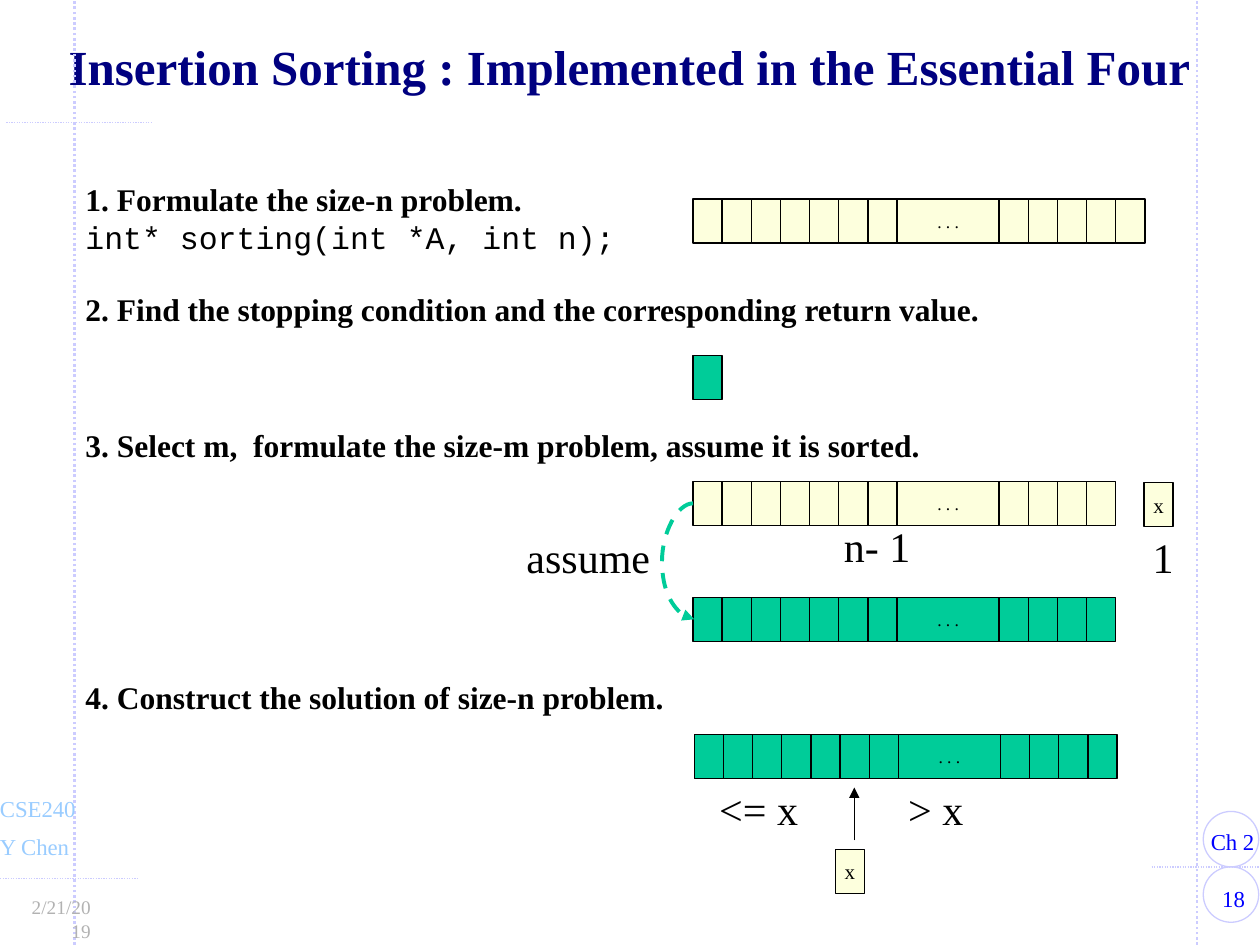
import pptx
import pptx.util
import pptx.dml.color
import pptx.enum.dml
import pptx.enum.shapes
import pptx.enum.text
import pptx.oxml
import pptx.oxml.ns
from pptx.util import Inches, Pt

SERIF, MONO = "Times New Roman", "Courier New"
CREAM, GREEN, BLACK = "FDFFDD", "00CC99", "000000"
LILAC, SKY, BLUE, NAVY, GREY = "CCCCFF", "99CCFF", "0000FF", "000080", "B2B2B2"
ALIGN = pptx.enum.text.PP_ALIGN
SHAPE = pptx.enum.shapes.MSO_SHAPE
CONNECTOR = pptx.enum.shapes.MSO_CONNECTOR
DASH = pptx.enum.dml.MSO_LINE

# Content
TITLE = "Insertion Sorting : Implemented in the Essential Four"
STEPS = [  # top, heading, code
    (1.38, "1. Formulate the size-n problem.", "int* sorting(int *A, int n);"),
    (2.25, "2. Find the stopping condition and the corresponding return value.", None),
    (3.33, "3. Select m,  formulate the size-m problem, assume it is sorted.", None),
    (5.33, "4. Construct the solution of size-n problem.", None),
]
ARRAYS = {  # left, top, fill, cells after the ellipsis
    "whole": (5.5, 1.58, CREAM, 5),
    "unsorted": (5.5, 3.82, CREAM, 4),
    "sorted": (5.5, 4.74, GREEN, 4),
    "result": (5.51, 5.83, GREEN, 4),
}
SINGLES = [  # left, top, fill, text
    (5.5, 2.82, GREEN, ""),
    (9.08, 3.83, CREAM, "x"),
    (6.63, 6.74, CREAM, "x"),
]
LABELS = [  # left, top, width, text
    (6.6, 4.08, 0.73, "n- 1"), (9.05, 4.17, 0.37, "1"), (4.08, 4.17, 1.18, "assume"),
    (5.61, 6.17, 0.83, "<= x"), (7.11, 6.17, 0.64, "> x"),
]
RULES = [  # x1, y1, x2, y2, width
    (0.59, 7.5, 0.59, 0, 1.5), (9.5, 7.5, 9.5, 0, 1.5),
    (-0.06, 6.97, 1.09, 6.97, 0.75), (9.14, 6.88, 10.05, 6.88, 0.75),
    (0.05, 0.97, 1.2, 0.97, 0.75),
]
FOOTERS = [  # left, top, width, height, text, size, colour, alignment, wrap
    (9.5, 6.97, 0.58, 0.32, "18", 13, BLUE, ALIGN.CENTER, True),
    (9.5, 6.52, 0.7, 0.32, "Ch 2", 13, BLUE, ALIGN.LEFT, True),
    (-0.11, 6.56, 1, 0.32, "Y Chen", 13, SKY, ALIGN.LEFT, True),
    (-0.11, 6.26, 1, 0.32, "CSE240", 13, SKY, ALIGN.LEFT, True),
    (0.08, 7.06, 0.75, 0.29, "2/21/2019", 11, GREY, ALIGN.RIGHT, True),
]
CELLS_BEFORE, GAP_W, CELL_H = 7, 0.81, 0.35
CELL_W = 1.62 / CELLS_BEFORE

prs = pptx.Presentation()
prs.slide_width, prs.slide_height = Inches(10), Inches(7.5)
s = prs.slides.add_slide(prs.slide_layouts[5])


def rgb(colour):
    return pptx.dml.color.RGBColor.from_string(colour)


def add_run(p, text, size, colour=BLACK, font=SERIF, bold=False):
    r = p.add_run()
    r.text = text
    r.font.size, r.font.name, r.font.bold = Pt(size), font, bold
    r.font.color.rgb = rgb(colour)


def add_text(x, y, w, h, text, size, colour=BLACK, align=ALIGN.LEFT,
             wrap=False, inset=0.1, bold=False):
    tf = s.shapes.add_textbox(Inches(x), Inches(y), Inches(w), Inches(h)).text_frame
    tf.word_wrap = wrap
    tf.margin_left = tf.margin_right = Inches(inset)
    tf.paragraphs[0].alignment = align
    add_run(tf.paragraphs[0], text, size, colour, bold=bold)
    return tf


def add_box(x, y, w, h, fill=None, line=BLACK, text="", size=12, kind=SHAPE.RECTANGLE):
    sp = s.shapes.add_shape(kind, Inches(x), Inches(y), Inches(w), Inches(h))
    sp.shadow.inherit = False
    if fill:
        sp.fill.solid()
        sp.fill.fore_color.rgb = rgb(fill)
    else:
        sp.fill.background()
    sp.line.color.rgb, sp.line.width = rgb(line), Pt(0.75)
    if text:
        tf = sp.text_frame
        tf.word_wrap = False
        tf.vertical_anchor = pptx.enum.text.MSO_ANCHOR.MIDDLE
        tf.paragraphs[0].alignment = ALIGN.CENTER
        add_run(tf.paragraphs[0], text, size)
    return sp


def add_line(x1, y1, x2, y2, colour, width, dash=None, arrow=False, kind=CONNECTOR.STRAIGHT):
    cx = s.shapes.add_connector(kind, Inches(x1), Inches(y1), Inches(x2), Inches(y2))
    cx.line.color.rgb, cx.line.width = rgb(colour), Pt(width)
    if dash:
        cx.line.dash_style = dash
    if arrow:
        ln = cx.line._get_or_add_ln()
        ln.append(pptx.oxml.parse_xml(
            '<a:tailEnd %s type="triangle"/>' % pptx.oxml.ns.nsdecls("a")))
    cx._element.spPr.append(pptx.oxml.parse_xml(
        "<a:effectLst %s/>" % pptx.oxml.ns.nsdecls("a")))
    return cx


def add_array(x, y, fill, cells_after):
    """Draw a row of cells with a wide ellipsis cell; return the first cell."""
    widths = [CELL_W] * CELLS_BEFORE + [GAP_W] + [CELL_W] * cells_after
    cells = []
    for i, w in enumerate(widths):
        text = ". . ." if i == CELLS_BEFORE else ""
        cells.append(add_box(x, y, w, CELL_H, fill, text=text, size=10))
        x += w
    return cells[0]


# Page frame
for x1, y1, x2, y2, width in RULES:
    add_line(x1, y1, x2, y2, LILAC, width, DASH.ROUND_DOT)
for y in (6.88, 6.44):
    add_box(9.55, y, 0.44, 0.44, line=LILAC, kind=SHAPE.OVAL)
for x, y, w, h, text, size, colour, align, wrap in FOOTERS:
    add_text(x, y, w, h, text, size, colour, align, wrap, inset=0.11)

# Title
title = s.shapes.title
title.left, title.top, title.width, title.height = (
    Inches(v) for v in (0.08, 0.25, 9.83, 0.62))
tf = title.text_frame
tf.word_wrap = True
tf.auto_size = pptx.enum.text.MSO_AUTO_SIZE.NONE
tf.vertical_anchor = pptx.enum.text.MSO_ANCHOR.MIDDLE
tf.margin_left = tf.margin_right = Inches(0.11)
p = tf.paragraphs[0]
p.alignment, p.line_spacing = ALIGN.CENTER, 0.85
add_run(p, TITLE, 28, NAVY, bold=True)

# Steps
for top, heading, code in STEPS:
    tf = add_text(0.58, top, 9, 0.7 if code else 0.4, heading, 18, wrap=True, bold=True)
    if code:
        add_run(tf.add_paragraph(), code, 18, font=MONO)

# Arrays, single cells and their labels
first = {name: add_array(*array) for name, array in ARRAYS.items()}
for x, y, fill, text in SINGLES:
    add_box(x, y, CELL_W, CELL_H, fill, text=text)
for x, y, w, text in LABELS:
    add_text(x, y, w, 0.5, text, 24)

# Arrow from x to its place in the result
add_line(6.78, 6.67, 6.78, 6.25, BLACK, 0.75, arrow=True)

# Curved arrow from the unsorted to the sorted array, bulging left
curve = add_line(5.5, 3.99, 5.5, 4.91, GREEN, 2.25, DASH.DASH, True, CONNECTOR.CURVE)
curve.begin_connect(first["unsorted"], 1)
curve.end_connect(first["sorted"], 1)
curve.end_x = Inches(5.51)
guides = curve._element.spPr.prstGeom.get_or_add_avLst()
guides.append(pptx.oxml.parse_xml(
    '<a:gd %s name="adj1" fmla="val -2500000"/>' % pptx.oxml.ns.nsdecls("a")))

prs.save("out.pptx")
